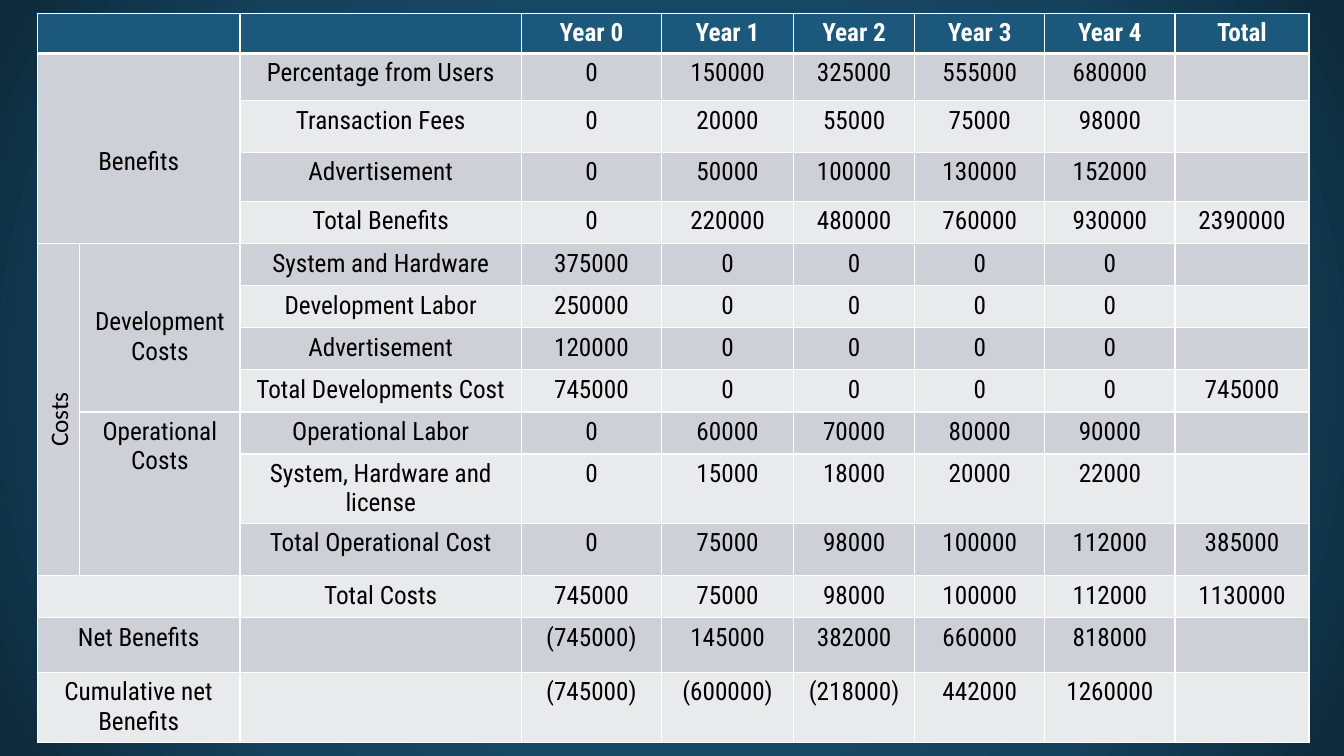
from pptx import Presentation
from pptx.dml.color import RGBColor
from pptx.enum.text import PP_ALIGN as Align
from pptx.oxml import parse_xml
from pptx.util import Cm, Pt

NS = 'xmlns:a="http://schemas.openxmlformats.org/drawingml/2006/main"'
HEADER, DARK_BAND, LIGHT_BAND = "1B587C", "CDD1D7", "E8EAEC"
BACKDROP_STOPS = [(0, "184E6E"), (23, "184E6E"), (69, "14425D"), (97, "0E2C3E")]


def color(value):
    return RGBColor.from_string(value)


def write(frame, text, **font_format):
    frame.text = text
    for paragraph in frame.paragraphs:
        paragraph.alignment = Align.CENTER
        font = paragraph.font if not paragraph.runs else paragraph.runs[0].font
        font.color.rgb = color("FFFFFF" if font_format["bold"] else "000000")
        for attribute, value in font_format.items():
            setattr(font, attribute, value)


deck = Presentation()
deck.slide_width, deck.slide_height = Cm(33.87), Cm(19.05)
slide = deck.slides.add_slide(deck.slide_layouts[6])

# Radial backdrop
slide.background.fill.gradient()
gradient = slide.background._cSld.bg.bgPr[0]
for child in list(gradient):
    gradient.remove(child)
stops = "".join(f'<a:gs pos="{position * 1000}"><a:srgbClr val="{shade}"/></a:gs>'
                for position, shade in BACKDROP_STOPS)
gradient.append(parse_xml(f"<a:gsLst {NS}>{stops}</a:gsLst>"))
gradient.append(parse_xml(
    f'<a:path {NS} path="circle">'
    '<a:fillToRect l="50000" t="50000" r="50000" b="50000"/></a:path>'))

# Cash flow figures: two group columns, item, years 0 to 4, total
cash_flow = [
    ["", "", "", "Year 0", "Year 1", "Year 2", "Year 3", "Year 4", "Total"],
    ["Benefits", "", "Percentage from Users", 0, 150000, 325000, 555000, 680000, ""],
    ["", "", "Transaction Fees", 0, 20000, 55000, 75000, 98000, ""],
    ["", "", "Advertisement", 0, 50000, 100000, 130000, 152000, ""],
    ["", "", "Total Benefits", 0, 220000, 480000, 760000, 930000, 2390000],
    ["", "Development\nCosts", "System and Hardware", 375000, 0, 0, 0, 0, ""],
    ["", "", "Development Labor", 250000, 0, 0, 0, 0, ""],
    ["", "", "Advertisement", 120000, 0, 0, 0, 0, ""],
    ["", "", "Total Developments Cost", 745000, 0, 0, 0, 0, 745000],
    ["", "Operational\nCosts", "Operational Labor", 0, 60000, 70000, 80000, 90000, ""],
    ["", "", "System, Hardware and license", 0, 15000, 18000, 20000, 22000, ""],
    ["", "", "Total Operational Cost", 0, 75000, 98000, 100000, 112000, 385000],
    ["", "", "Total Costs", 745000, 75000, 98000, 100000, 112000, 1130000],
    ["Net Benefits", "", "", "(745000)", 145000, 382000, 660000, 818000, ""],
    ["Cumulative net\nBenefits", "", "", "(745000)", "(600000)", "(218000)",
     442000, 1260000, ""],
]
column_widths = [1.07, 4.04, 7.09, 3.53, 3.33, 3.05, 3.28, 3.28, 3.38]
row_heights = [1.02, 1.19, 1.3, 1.24] + [1.06] * 6 + [1.74, 1.32, 1.06, 1.38, 1.76]

# Table frame
table = slide.shapes.add_table(
    len(row_heights), len(column_widths), Cm(0.94), Cm(0.33),
    Cm(sum(column_widths)), Cm(sum(row_heights))).table
table.first_row = table.horz_banding = False
for column, width in zip(table.columns, column_widths):
    column.width = Cm(width)
for row, height in zip(table.rows, row_heights):
    row.height = Cm(height)

# Cells with bands and white rules, thicker under the header
for r, values in enumerate(cash_flow):
    band = HEADER if r == 0 else DARK_BAND if r % 2 else LIGHT_BAND
    rules = {"L": 1, "R": 1, "T": 3 if r == 1 else 1, "B": 3 if r == 0 else 1}
    for c, value in enumerate(values):
        cell = table.cell(r, c)
        write(cell.text_frame, str(value),
              size=Pt(18), name="Roboto Condensed", bold=r == 0)
        properties = cell._tc.get_or_add_tcPr()
        for side, points in rules.items():
            properties.append(parse_xml(
                f'<a:ln{side} {NS} w="{Pt(points)}"><a:solidFill>'
                f'<a:srgbClr val="FFFFFF"/></a:solidFill></a:ln{side}>'))
        cell.fill.solid()
        cell.fill.fore_color.rgb = color(band)

# Merged groups: first row, first column, last row, last column
for top, left, bottom, right in [(0, 0, 0, 1), (1, 0, 4, 1), (5, 0, 11, 0),
                                 (5, 1, 8, 1), (9, 1, 11, 1), (12, 0, 12, 1),
                                 (13, 0, 13, 1), (14, 0, 14, 1)]:
    table.cell(top, left).merge(table.cell(bottom, right))
table.cell(1, 0).margin_top = Cm(2.36)
table.cell(5, 1).margin_top = Cm(1.61)

# Vertical label of the cost rows
costs_label = slide.shapes.add_textbox(Cm(0.41), Cm(10.06), Cm(2.11), Cm(1.02))
costs_label.rotation = 270
costs_label.text_frame.word_wrap = True
write(costs_label.text_frame, "Costs", size=Pt(18), name="Calibri", bold=False)

deck.save("out.pptx")
